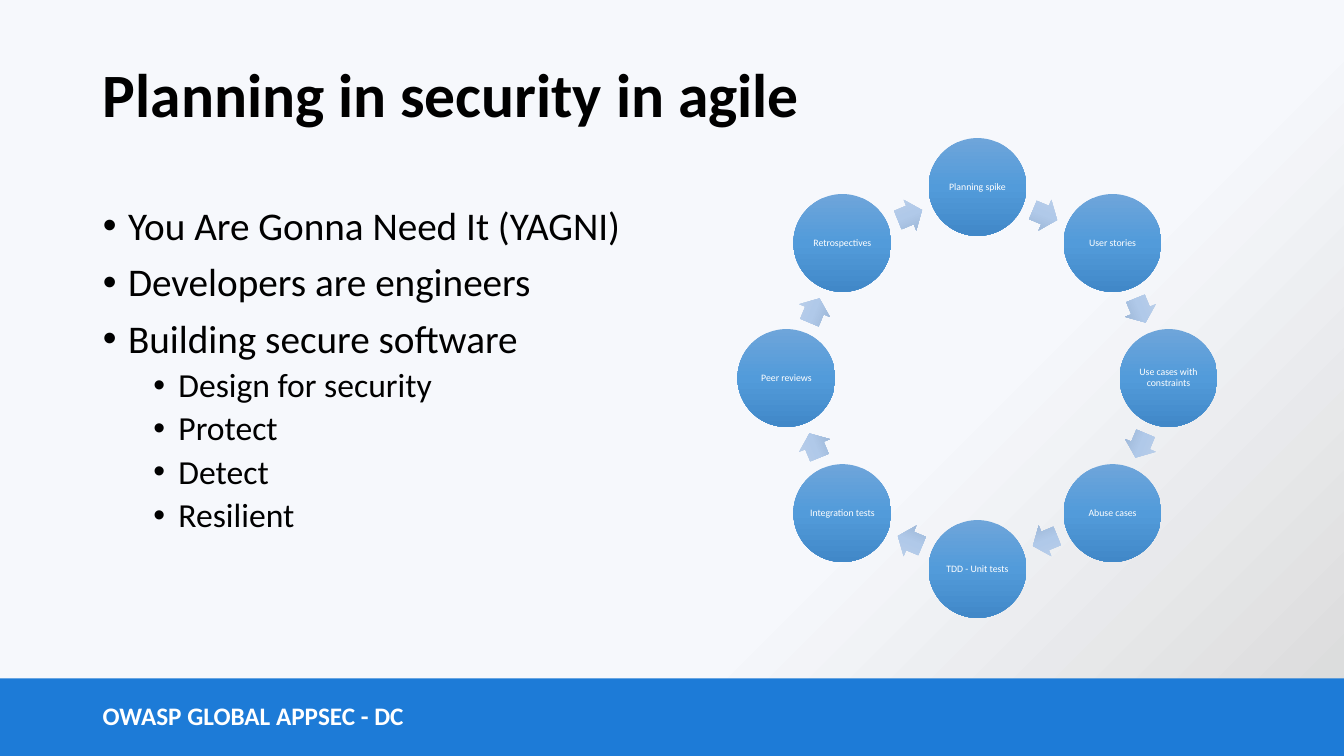
import math
from dataclasses import dataclass

import lxml.etree
import pptx
import pptx.dml.color
import pptx.enum.shapes
import pptx.enum.text
import pptx.oxml
import pptx.oxml.ns
import pptx.util

Inches = pptx.util.Inches
Pt = pptx.util.Pt
qn = pptx.oxml.ns.qn
MSO_SHAPE = pptx.enum.shapes.MSO_SHAPE
ANCHOR = pptx.enum.text.MSO_ANCHOR
ALIGN = pptx.enum.text.PP_ALIGN
AUTO_SIZE = pptx.enum.text.MSO_AUTO_SIZE

FONT = "Calibri"
CENTER_X, CENTER_Y = 9.695, 3.75
STEP_RADIUS, ARROW_RADIUS = 1.895, 1.75
STEP_SIZE = 0.97
ARROW_WIDTH, ARROW_HEIGHT = 0.26, 0.33


@dataclass(frozen=True)
class Stop:
    percent: int
    color: str


@dataclass(frozen=True)
class Bullet:
    text: str
    level: int = 0


BACKGROUND_STOPS = [Stop(65, "F6F8FC"), Stop(100, "D9D9D9")]
STEP_STOPS = [Stop(0, "6EA5DA"), Stop(50, "529BDA"), Stop(100, "4188C8")]
ARROW_STOPS = [Stop(0, "BDD0E9"), Stop(50, "B0C9E9"), Stop(100, "96B0D1")]

BULLETS = [
    Bullet("You Are Gonna Need It (YAGNI)"),
    Bullet("Developers are engineers"),
    Bullet("Building secure software"),
    Bullet("Design for security", 1),
    Bullet("Protect", 1),
    Bullet("Detect", 1),
    Bullet("Resilient", 1),
]

STEPS = [
    "Planning spike",
    "User stories",
    "Use cases with constraints",
    "Abuse cases",
    "TDD - Unit tests",
    "Integration tests",
    "Peer reviews",
    "Retrospectives",
]


def rgb(color: str) -> pptx.dml.color.RGBColor:
    return pptx.dml.color.RGBColor.from_string(color)


def place(shape, left: float, top: float, width: float, height: float) -> None:
    shape.left, shape.top = Inches(left), Inches(top)
    shape.width, shape.height = Inches(width), Inches(height)


def style(paragraph, size: float, color: str, bold: bool = False) -> None:
    font = paragraph.font
    font.name, font.size, font.bold = FONT, Pt(size), bold
    font.color.rgb = rgb(color)


def paint_gradient(fill, owner, stops: list[Stop], from_corner: bool = False) -> None:
    fill.gradient()
    gradient = next(owner.iter(qn("a:gradFill")))
    gradient.clear()
    gradient.set("rotWithShape", "1")
    stop_list = lxml.etree.SubElement(gradient, qn("a:gsLst"))
    for stop in stops:
        mark = lxml.etree.SubElement(stop_list, qn("a:gs"), pos=str(stop.percent * 1000))
        lxml.etree.SubElement(mark, qn("a:srgbClr"), val=stop.color)
    if from_corner:
        path_shade = lxml.etree.SubElement(gradient, qn("a:path"), path="circle")
        lxml.etree.SubElement(path_shade, qn("a:fillToRect"), r="100000", b="100000")
    else:
        lxml.etree.SubElement(gradient, qn("a:lin"), ang="5400000", scaled="0")


def add_plain_shape(slide, kind, left: float, top: float, width: float, height: float):
    shape = slide.shapes.add_shape(
        kind, Inches(left), Inches(top), Inches(width), Inches(height))
    shape.shadow.inherit = False
    shape.line.fill.background()
    return shape


def add_footer(slide) -> None:
    bar = add_plain_shape(slide, MSO_SHAPE.RECTANGLE, 0, 6.73, 13.33, 0.77)
    bar.fill.solid()
    bar.fill.fore_color.rgb = rgb("1D7BD7")
    event = slide.shapes.add_textbox(Inches(0.92), Inches(6.9), Inches(3.94), Inches(0.4))
    event.text_frame.word_wrap = True
    event.text_frame.auto_size = AUTO_SIZE.SHAPE_TO_FIT_TEXT
    event.text_frame.text = "OWASP GLOBAL APPSEC - DC"
    style(event.text_frame.paragraphs[0], 18, "FFFFFF", bold=True)


def fill_title(title) -> None:
    place(title, 0.92, 0.24, 11.5, 1.45)
    title.text_frame.text = "Planning in security in agile"
    title.text_frame.auto_size = AUTO_SIZE.NONE
    title.text_frame.vertical_anchor = ANCHOR.MIDDLE
    heading = title.text_frame.paragraphs[0]
    heading.alignment = ALIGN.LEFT
    heading.line_spacing = 0.9
    style(heading, 44, "000000", bold=True)


def fill_body(body) -> None:
    place(body, 0.92, 2, 5.67, 4.76)
    frame = body.text_frame
    frame.auto_size = AUTO_SIZE.NONE
    for index, bullet in enumerate(BULLETS):
        paragraph = frame.add_paragraph() if index else frame.paragraphs[0]
        paragraph.text = bullet.text
        paragraph.level = bullet.level
        properties = paragraph._p.get_or_add_pPr()
        properties.set("marL", str(Inches(0.25 + 0.5 * bullet.level)))
        properties.set("indent", str(Inches(-0.25)))
        lxml.etree.SubElement(properties, qn("a:buFont"), typeface="Arial")
        lxml.etree.SubElement(properties, qn("a:buChar"), char="•")
        paragraph.line_spacing = 0.9
        paragraph.space_before = Pt((5 if bullet.level else 10) if index else 0)
        style(paragraph, 24 if bullet.level else 28, "000000")


def add_on_ring(slide, kind, degrees: float, radius: float, width: float, height: float):
    angle = math.radians(degrees)
    left = CENTER_X + radius * math.sin(angle) - width / 2
    top = CENTER_Y - radius * math.cos(angle) - height / 2
    return add_plain_shape(slide, kind, left, top, width, height)


def add_step(slide, label: str, degrees: float) -> None:
    step = add_on_ring(slide, MSO_SHAPE.OVAL, degrees, STEP_RADIUS, STEP_SIZE, STEP_SIZE)
    paint_gradient(step.fill, step._element, STEP_STOPS)
    frame = step.text_frame
    frame.word_wrap = True
    frame.vertical_anchor = ANCHOR.MIDDLE
    frame.margin_left = frame.margin_right = Inches(0.01)
    frame.margin_top = frame.margin_bottom = Inches(0.01)
    frame.text = label
    caption = frame.paragraphs[0]
    caption.alignment = ALIGN.CENTER
    caption.line_spacing = 0.9
    style(caption, 7, "FFFFFF")


def add_arrow(slide, degrees: float) -> None:
    arrow = add_on_ring(
        slide, MSO_SHAPE.RIGHT_ARROW, degrees, ARROW_RADIUS, ARROW_WIDTH, ARROW_HEIGHT)
    arrow.adjustments[0], arrow.adjustments[1] = 0.6, 0.5
    arrow.rotation = degrees
    paint_gradient(arrow.fill, arrow._element, ARROW_STOPS)


def main() -> None:
    deck = pptx.Presentation()
    deck.slide_width, deck.slide_height = Inches(13.33), Inches(7.5)
    slide = deck.slides.add_slide(deck.slide_layouts[1])
    paint_gradient(slide.background.fill, slide._element, BACKGROUND_STOPS, from_corner=True)
    fill_title(slide.shapes.title)
    fill_body(slide.placeholders[1])
    add_footer(slide)
    spacing = 360 / len(STEPS)
    for index, label in enumerate(STEPS):
        add_step(slide, label, index * spacing)
        add_arrow(slide, (index + 0.5) * spacing)
    deck.save("out.pptx")


if __name__ == "__main__":
    main()
